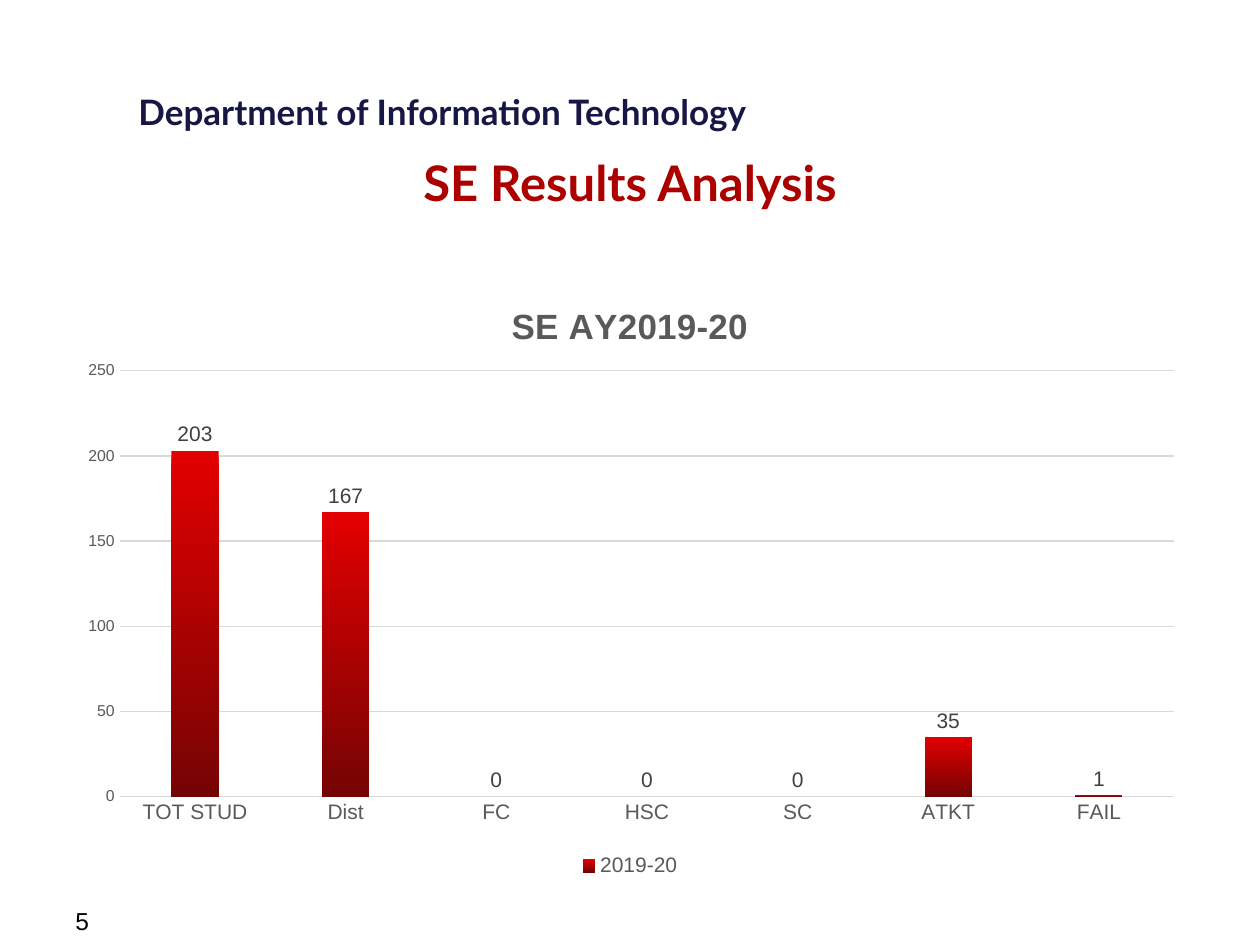
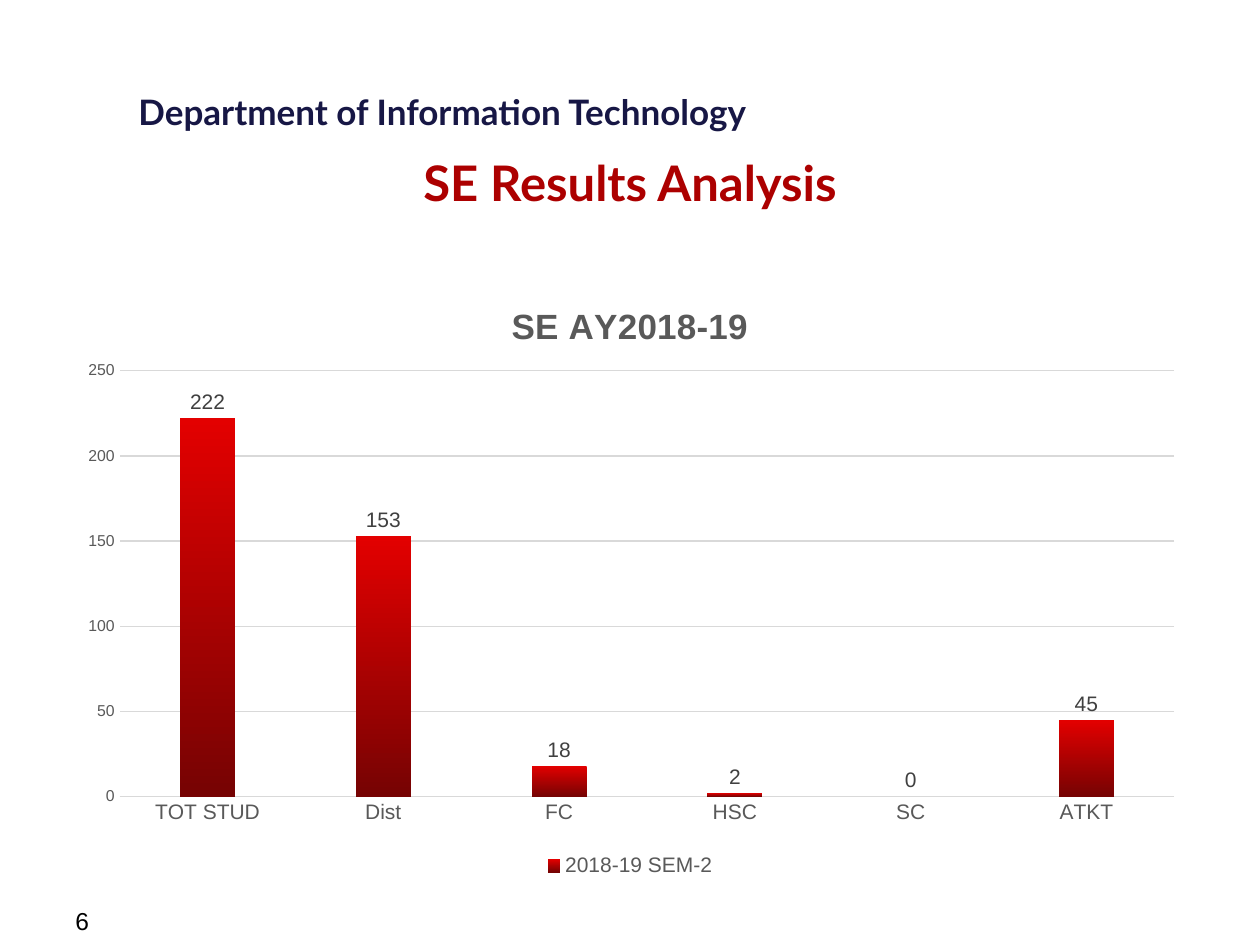
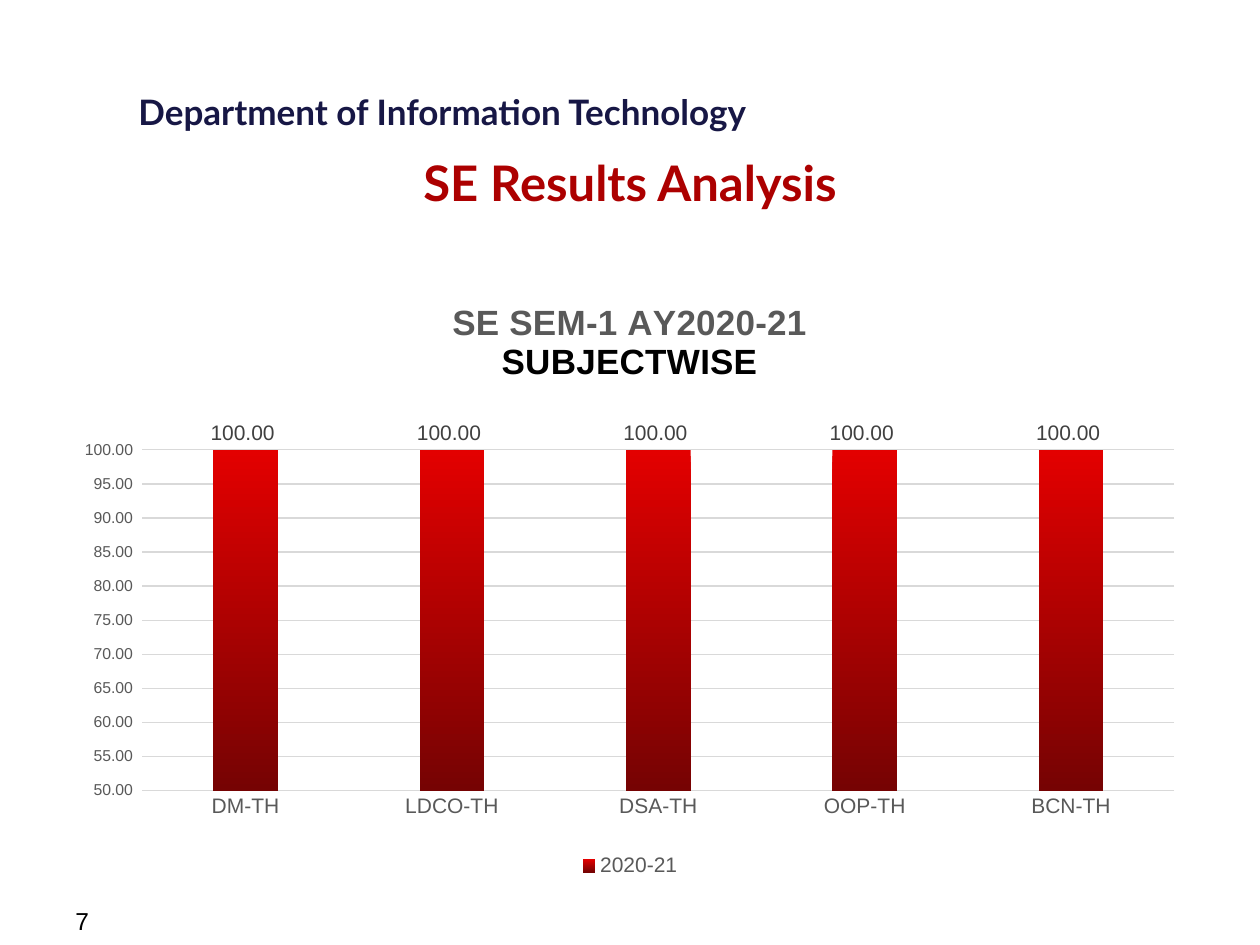
import pptx
import pptx.chart.data
import pptx.dml.color
import pptx.enum.chart
import pptx.enum.text
import pptx.oxml
import pptx.oxml.ns
import pptx.util

Inches = pptx.util.Inches
Pt = pptx.util.Pt
qn = pptx.oxml.ns.qn

NAVY, CRIMSON, BLACK = "171745", "AC0000", "000000"
GREY, DARK_GREY, LIGHT_GREY = "595959", "404040", "D9D9D9"
BAR_GRADIENT = ("E30000", "760303")
PLOT_AREA = (0.05, 0.16, 0.93, 0.7)

RESULTS = [
    {
        "number": 5,
        "heading": [("SE AY2019-20", GREY)],
        "heading_at": (0.39, 0.04),
        "year": "2019-20",
        "counts": {"TOT STUD": 203, "Dist": 167, "FC": 0, "HSC": 0, "SC": 0, "ATKT": 35, "FAIL": 1},
        "scale": (0, 250, 50),
    },
    {
        "number": 6,
        "heading": [("SE AY2018-19", GREY)],
        "heading_at": (0.39, 0.04),
        "year": "2018-19 SEM-2",
        "counts": {"TOT STUD": 222, "Dist": 153, "FC": 18, "HSC": 2, "SC": 0, "ATKT": 45},
        "scale": (0, 250, 50),
    },
    {
        "number": 7,
        "heading": [("SE SEM-1 AY2020-21", GREY), ("SUBJECTWISE", BLACK)],
        "heading_at": (0.34, 0.04),
        "year": "2020-21",
        "counts": dict.fromkeys(["DM-TH", "LDCO-TH", "DSA-TH", "OOP-TH", "BCN-TH"], 100),
        "scale": (50, 100, 5),
        "number_format": "0.00_ ",
        "plot_area": (0.07, 0.29, 0.91, 0.56),
    },
]


def rgb(code):
    return pptx.dml.color.RGBColor.from_string(code)


def set_values(target, values):
    for name, value in values.items():
        setattr(target, name, value)


def set_font(font, size, color, family="Arial", bold=False):
    set_values(font, {"size": Pt(size), "name": family, "bold": bold})
    font.color.rgb = rgb(color)


def place(element, index, fractions, inner=False):
    for old in element.findall(qn("c:layout")):
        element.remove(old)
    target = '<c:layoutTarget val="inner"/>' if inner else ""
    names = ("x", "y", "w", "h")[: len(fractions)]
    modes = "".join(f'<c:{name}Mode val="edge"/>' for name in names[:2])
    sizes = "".join(f'<c:{name} val="{part}"/>' for name, part in zip(names, fractions))
    layout = (
        f'<c:layout {pptx.oxml.ns.nsdecls("c")}><c:manualLayout>'
        f"{target}{modes}{sizes}</c:manualLayout></c:layout>"
    )
    element.insert(index, pptx.oxml.parse_xml(layout))


class ResultsDeck:
    def __init__(self):
        self.deck = pptx.Presentation()
        set_values(self.deck, {"slide_width": Inches(10), "slide_height": Inches(7.5)})
        self.slide = None

    def add_slide(self, number):
        self.slide = self.deck.slides.add_slide(self.deck.slide_layouts[5])
        self.add_title("SE Results Analysis")
        self.add_text("Department of Information Technology", (1, 0.67, 5.35, 0.44),
                      (20, NAVY, "Lato", True), wrap=False)
        self.add_text(str(number), (0.5, 7.14, 2.33, 0.27), (14, BLACK))

    def add_title(self, text):
        title = self.slide.shapes.title
        box = {"left": 0.5, "top": 1.2, "width": 9, "height": 0.48}
        set_values(title, {name: Inches(length) for name, length in box.items()})
        frame = title.text_frame
        set_values(frame, {
            "text": text,
            "auto_size": pptx.enum.text.MSO_AUTO_SIZE.NONE,
            "vertical_anchor": pptx.enum.text.MSO_ANCHOR.MIDDLE,
        })
        frame.paragraphs[0].alignment = pptx.enum.text.PP_ALIGN.CENTER
        set_font(frame.paragraphs[0].runs[0].font, 28, CRIMSON, "Lato", True)

    def add_text(self, text, box, style, wrap=True):
        frame = self.slide.shapes.add_textbox(*map(Inches, box)).text_frame
        set_values(frame, {"text": text, "word_wrap": wrap})
        set_font(frame.paragraphs[0].runs[0].font, *style)

    def add_results(self, result):
        number_format = result.get("number_format", "General")
        data = pptx.chart.data.CategoryChartData(number_format=number_format)
        data.categories = list(result["counts"])
        data.add_series(result["year"], list(result["counts"].values()))
        chart = self.slide.shapes.add_chart(
            pptx.enum.chart.XL_CHART_TYPE.COLUMN_CLUSTERED,
            *map(Inches, (0.5, 2.17, 9, 4.83)), data).chart
        set_font(chart.font, 10, BLACK)
        self.style_heading(chart, result)
        self.style_axes(chart, result["scale"], number_format)
        self.style_bars(chart.plots[0], number_format)
        chart.has_legend = True
        set_values(chart.legend, {
            "position": pptx.enum.chart.XL_LEGEND_POSITION.BOTTOM,
            "include_in_layout": False,
        })
        set_font(chart.legend.font, 12, GREY)
        place(chart.element.find(f".//{qn('c:plotArea')}"), 0,
              result.get("plot_area", PLOT_AREA), inner=True)

    def style_heading(self, chart, result):
        chart.has_title = True
        frame = chart.chart_title.text_frame
        for index, (line, color) in enumerate(result["heading"]):
            paragraph = frame.add_paragraph() if index else frame.paragraphs[0]
            run = paragraph.add_run()
            run.text = line
            set_font(run.font, 20, color, bold=True)
        place(chart.chart_title.element, 1, result["heading_at"])

    def style_axes(self, chart, scale, number_format):
        no_tick = pptx.enum.chart.XL_TICK_MARK.NONE
        for axis, size in ((chart.category_axis, 12), (chart.value_axis, 9)):
            set_values(axis, {"major_tick_mark": no_tick, "minor_tick_mark": no_tick})
            set_font(axis.tick_labels.font, size, GREY)
        counts = chart.value_axis
        set_values(counts, dict(zip(("minimum_scale", "maximum_scale", "major_unit"), scale)))
        set_values(counts.tick_labels, {
            "number_format": number_format, "number_format_is_linked": False})
        counts.has_major_gridlines = True
        counts.format.line.fill.background()
        for line in (counts.major_gridlines.format.line, chart.category_axis.format.line):
            line.width = Pt(0.75)
            line.color.rgb = rgb(LIGHT_GREY)

    def style_bars(self, plot, number_format):
        set_values(plot, {
            "gap_width": 219, "overlap": -27,
            "vary_by_categories": False, "has_data_labels": True})
        set_values(plot.data_labels, {
            "show_value": True,
            "position": pptx.enum.chart.XL_LABEL_POSITION.OUTSIDE_END,
            "number_format": number_format,
            "number_format_is_linked": False,
        })
        set_font(plot.data_labels.font, 12, DARK_GREY)
        fill = plot.series[0].format.fill
        fill.gradient()
        fill.gradient_angle = 270
        for position, (stop, color) in enumerate(zip(fill.gradient_stops, BAR_GRADIENT)):
            stop.position = position
            stop.color.rgb = rgb(color)


def main():
    results_deck = ResultsDeck()
    for result in RESULTS:
        results_deck.add_slide(result["number"])
        results_deck.add_results(result)
    results_deck.deck.save("out.pptx")


if __name__ == "__main__":
    main()
